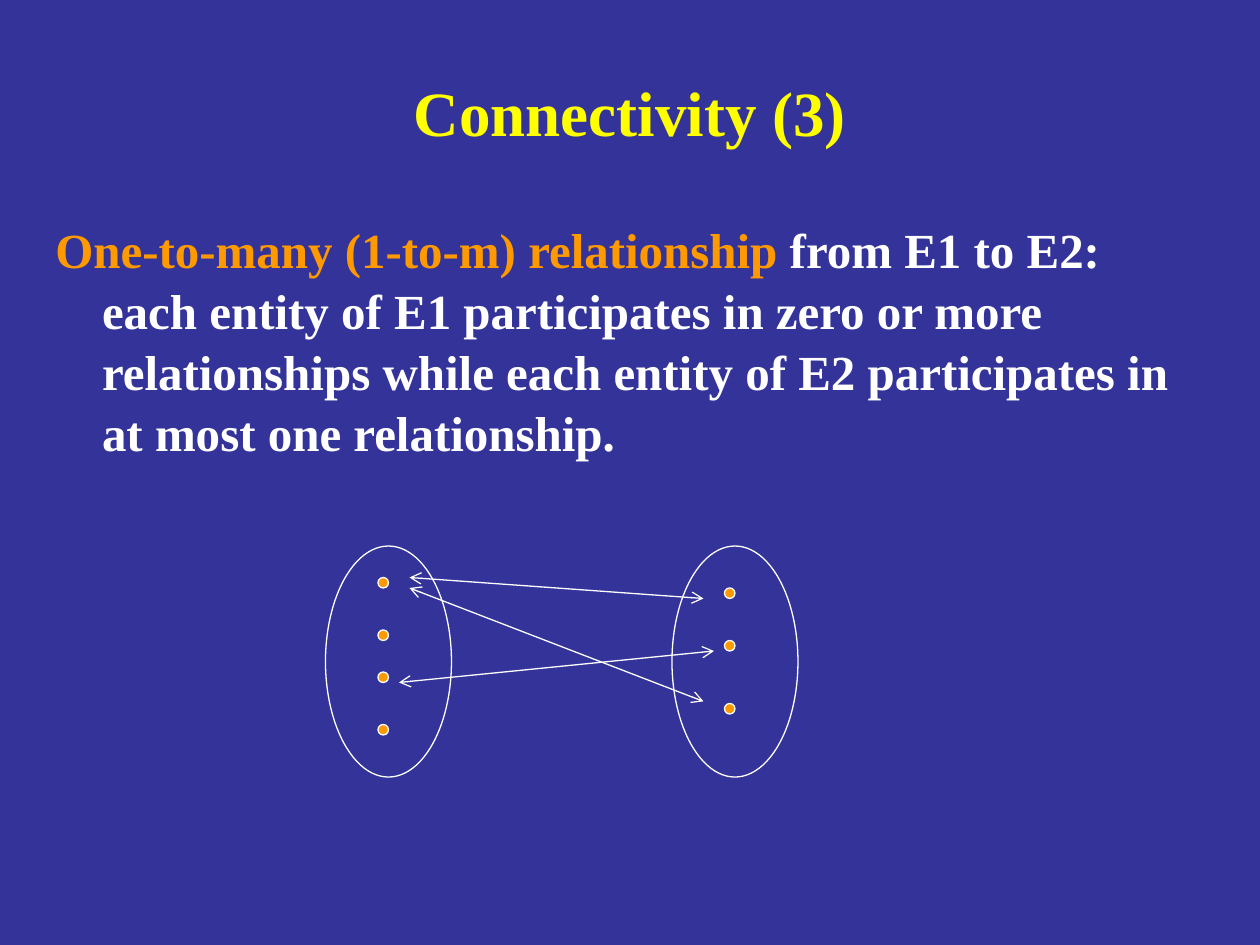
from typing import NamedTuple

from lxml import etree
from pptx import Presentation
from pptx import util as u
from pptx.dml.color import RGBColor
from pptx.enum import shapes, text
from pptx.oxml.ns import qn

BLUE, YELLOW, ORANGE, WHITE = "333399", "FFFF00", "FF9900", "FFFFFF"
UNIT = u.Inches(1) / 12  # the diagram sits on a grid of 12 cells to the inch
LINE_WIDTH = u.Pt(0.75)


class EntitySet(NamedTuple):
    col: int
    dot_col: int
    dot_rows: tuple[int, ...]


class Link(NamedTuple):
    start: tuple[float, float]
    end: tuple[float, float]


ENTITY_SETS = (
    EntitySet(31, 36, (55, 60, 64, 69)),
    EntitySet(64, 69, (56, 61, 67)),
)
LINKS = (
    Link((39, 56), (67, 66.8)),
    Link((38, 65), (68, 62)),
    Link((39, 55), (67, 57)),
)


def rgb(value: str) -> RGBColor:
    return RGBColor.from_string(value)


def grid(*cells: float) -> list[int]:
    return [round(cell * UNIT) for cell in cells]


def place(sp, left: float, top: float, width: float, height: float) -> None:
    sp.left, sp.top, sp.width, sp.height = map(u.Inches, (left, top, width, height))


def add_run(p, content: str, *, size: float, color: str) -> None:
    r = p.add_run()
    r.text = content
    r.font.name = "Times New Roman"
    r.font.size = u.Pt(size)
    r.font.bold = True
    r.font.color.rgb = rgb(color)


def set_frame(tf, anchor) -> None:
    tf.word_wrap = True
    tf.auto_size = text.MSO_AUTO_SIZE.NONE
    tf.vertical_anchor = anchor


def add_oval(s, cells: tuple[float, ...], fill: str | None = None) -> None:
    sp = s.shapes.add_shape(shapes.MSO_SHAPE.OVAL, *grid(*cells))
    sp.shadow.inherit = False
    if fill:
        sp.fill.solid()
        sp.fill.fore_color.rgb = rgb(fill)
    else:
        sp.fill.background()
    sp.line.color.rgb = rgb(WHITE)
    sp.line.width = LINE_WIDTH


def add_entity_set(s, entity_set: EntitySet) -> None:
    add_oval(s, (entity_set.col, 52, 12, 22))
    for row in entity_set.dot_rows:
        add_oval(s, (entity_set.dot_col, row, 1, 1), ORANGE)


def add_link(s, link: Link) -> None:
    line = s.shapes.add_connector(
        shapes.MSO_CONNECTOR.STRAIGHT, *grid(*link.start, *link.end))
    line.line.color.rgb = rgb(WHITE)
    line.line.width = LINE_WIDTH
    ln = line.line._get_or_add_ln()
    for end in ("a:headEnd", "a:tailEnd"):
        etree.SubElement(ln, qn(end), type="arrow")
    etree.SubElement(line._element.spPr, qn("a:effectLst"))


def add_title(s) -> None:
    title = s.shapes.title
    place(title, 0.75, 0.42, 8.5, 0.92)
    set_frame(title.text_frame, text.MSO_ANCHOR.MIDDLE)
    p = title.text_frame.paragraphs[0]
    p.alignment = text.PP_ALIGN.CENTER
    add_run(p, "Connectivity (3)", size=36, color=YELLOW)


def add_definition(s) -> None:
    body = s.placeholders[1]
    place(body, 0.33, 1.67, 9.33, 5.5)
    set_frame(body.text_frame, text.MSO_ANCHOR.TOP)
    p = body.text_frame.paragraphs[0]
    pPr = p._p.get_or_add_pPr()
    pPr.set("marL", str(u.Inches(0.38)))
    pPr.set("indent", str(u.Inches(-0.37)))
    etree.SubElement(pPr, qn("a:buNone"))
    p.alignment = text.PP_ALIGN.LEFT
    p.space_before = u.Pt(0)
    p.line_spacing = 1.04
    add_run(p, "One-to-many (1-to-m) relationship", size=28, color=ORANGE)
    add_run(p, " from E1 to E2: each entity of E1 participates in zero or more "
               "relationships while each entity of E2 participates in at most "
               "one relationship.", size=28, color=WHITE)


def main() -> None:
    prs = Presentation()
    prs.slide_width, prs.slide_height = u.Inches(10), u.Inches(7.5)
    s = prs.slides.add_slide(prs.slide_layouts[1])
    s.background.fill.solid()
    s.background.fill.fore_color.rgb = rgb(BLUE)
    add_title(s)
    add_definition(s)
    for entity_set in ENTITY_SETS:
        add_entity_set(s, entity_set)
    for link in LINKS:
        add_link(s, link)
    prs.save("out.pptx")


if __name__ == "__main__":
    main()
